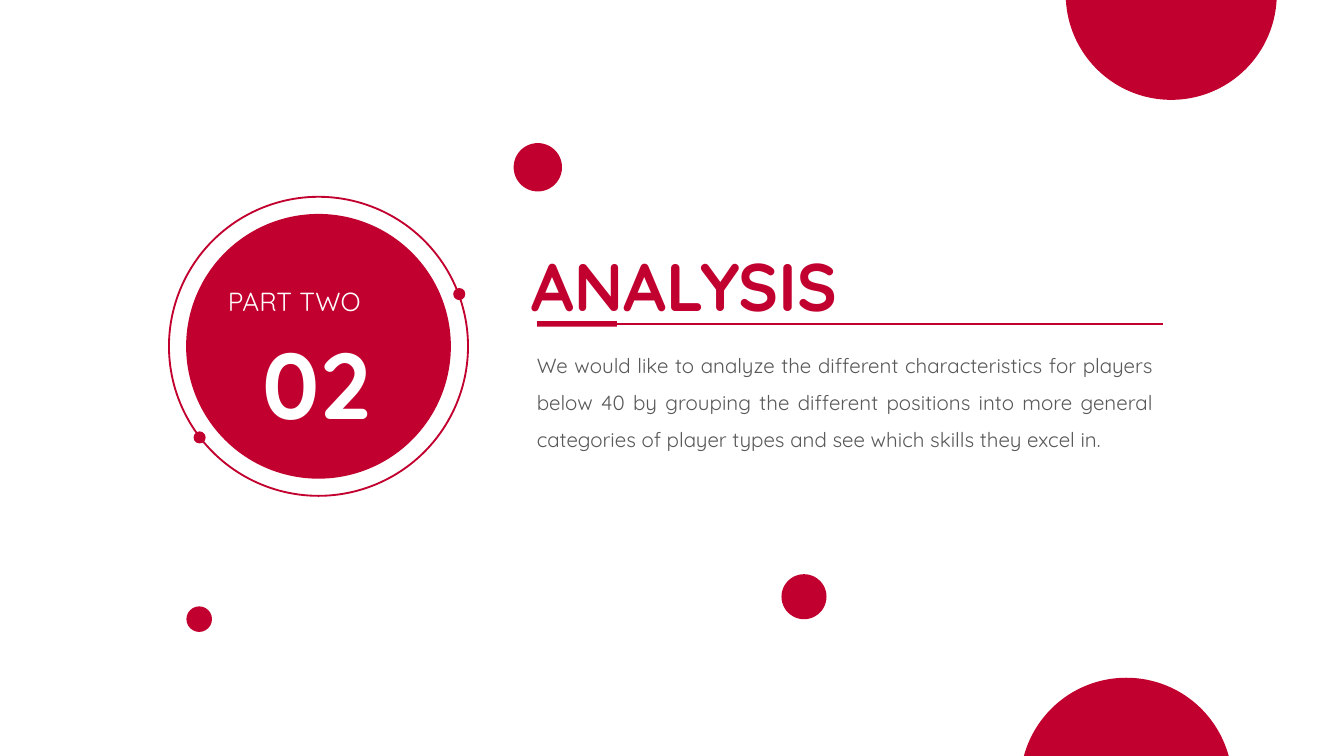
from pptx import Presentation
from pptx.dml.color import RGBColor
from pptx.enum.shapes import MSO_CONNECTOR as Connector, MSO_SHAPE as Preset
from pptx.enum.text import MSO_ANCHOR as Anchor, PP_ALIGN as Align
from pptx.oxml.ns import qn
from pptx.util import Inches, Pt
from lxml.etree import SubElement

COLORS = {"accent": "C2002F", "light": "FFFFFF", "body": "595959"}
FONT = "Quicksand"
WIDTH = 10
HEIGHT = WIDTH * 9 / 16
CELL = WIDTH / 100

BADGE_CENTER = (23.7, 25.77)
DISC, RING = 19.7, 22.25
RING_DOTS = [(34.17, 21.88, 0.9), (14.85, 32.55, 0.9)]
BUBBLES = [
    (87.15, -0.42, 15.7),
    (83.8, 58.33, 15.8),
    (40.02, 12.45, 3.6),
    (59.82, 44.4, 3.35),
    (14.82, 46.07, 1.9),
]
BODY = (
    "We would like to analyze the different characteristics for players "
    "below 40 by grouping the different positions into more general "
    "categories of player types and see which skills they excel in."
)
TEXTS = [
    ("PART TWO", (16.25, 20.8, 15, 3.1), "light", {"size": Pt(14)}, 1),
    ("02", (18.85, 23.9, 9.7, 9.1), "light", {"size": Pt(50), "bold": True}, 1),
    ("ANALYSIS", (38.8, 17.8, 48.3, 6.8), "accent", {"size": Pt(36), "bold": True}, 1),
    (BODY, (39.24, 24.96, 47.3, 17.4), "body", {"size": Pt(11)}, 1.5),
]


def grid(*cells):
    return [Inches(cell * CELL) for cell in cells]


def color(name):
    return RGBColor.from_string(COLORS[name])


def apply_format(target, values):
    for name, value in values.items():
        setattr(target, name, value)


def add_filled(shapes, preset, box):
    shape = shapes.add_shape(preset, *grid(*box))
    shape.shadow.inherit = False
    shape.fill.solid()
    shape.fill.fore_color.rgb = color("accent")
    shape.line.fill.background()
    return shape


def add_circle(shapes, x, y, diameter):
    box = (x - diameter / 2, y - diameter / 2, diameter, diameter)
    return add_filled(shapes, Preset.OVAL, box)


def add_ring(shapes, x, y, diameter):
    ring = add_circle(shapes, x, y, diameter)
    ring.fill.background()
    ring.line.color.rgb = color("accent")
    ring.line.width = Pt(1)


def add_badge(slide):
    shapes = slide.shapes.add_group_shape().shapes
    add_circle(shapes, *BADGE_CENTER, DISC)
    add_ring(shapes, *BADGE_CENTER, RING)
    for dot in RING_DOTS:
        add_circle(shapes, *dot)


def add_rule(slide):
    shapes = slide.shapes.add_group_shape().shapes
    add_filled(shapes, Preset.RECTANGLE, (39.96, 23.9, 5.94, 0.4))
    line = shapes.add_connector(Connector.STRAIGHT, *grid(45.6, 24.1, 86.55, 24.1))
    line.line.color.rgb = color("accent")
    line.line.width = Pt(0.75)
    SubElement(line._element.spPr, qn("a:effectLst"))


def add_text(slide, text, box, color_name, font_format, spacing):
    frame = slide.shapes.add_textbox(*grid(*box)).text_frame
    apply_format(frame, {
        "word_wrap": True,
        "vertical_anchor": Anchor.TOP,
        "margin_left": Inches(0.07),
        "margin_right": Inches(0.07),
        "margin_top": Inches(0.04),
        "margin_bottom": Inches(0.04),
    })
    paragraph = frame.paragraphs[0]
    apply_format(paragraph, {"alignment": Align.JUSTIFY, "line_spacing": spacing})
    run = paragraph.add_run()
    run.text = text
    apply_format(run.font, {"name": FONT, **font_format})
    run.font.color.rgb = color(color_name)


def main():
    presentation = Presentation()
    presentation.slide_width = Inches(WIDTH)
    presentation.slide_height = Inches(HEIGHT)
    slide = presentation.slides.add_slide(presentation.slide_layouts[6])
    add_badge(slide)
    for bubble in BUBBLES:
        add_circle(slide.shapes, *bubble)
    add_rule(slide)
    for text in TEXTS:
        add_text(slide, *text)
    presentation.save("out.pptx")


if __name__ == "__main__":
    main()
